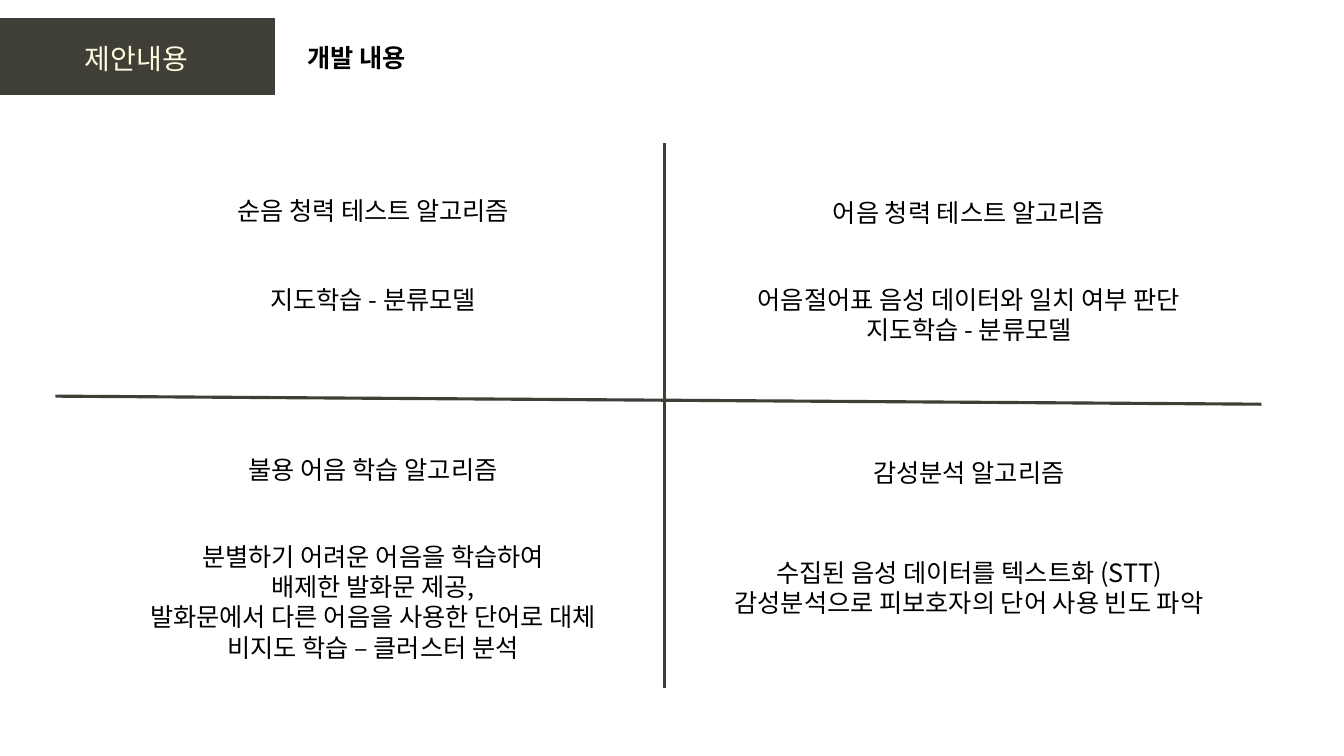
from lxml import etree
from pptx import Presentation
from pptx.dml.color import RGBColor
from pptx.enum.shapes import MSO_CONNECTOR, MSO_SHAPE
from pptx.enum.text import MSO_ANCHOR, PP_ALIGN
from pptx.oxml.ns import qn
from pptx.util import Inches, Pt

LEFT, CENTER = PP_ALIGN.LEFT, PP_ALIGN.CENTER
MIDDLE = MSO_ANCHOR.MIDDLE
RECTANGLE = MSO_SHAPE.RECTANGLE
STRAIGHT = MSO_CONNECTOR.STRAIGHT

# Content
SECTION = "제안내용"
TITLE = "개발 내용"

# Each quadrant: centre x, heading top, heading, body top, body width, body lines
QUADRANTS = [
    (3.7, 1.89, "순음 청력 테스트 알고리즘", 2.77, 2.49,
     ["지도학습 - 분류모델"]),
    (9.61, 1.91, "어음 청력 테스트 알고리즘", 2.77, 4.53,
     ["어음절어표 음성 데이터와 일치 여부 판단", "지도학습 - 분류모델"]),
    (3.7, 4.46, "불용 어음 학습 알고리즘", 5.32, 4.84,
     ["분별하기 어려운 어음을 학습하여", "배제한 발화문 제공,",
      "발화문에서 다른 어음을 사용한 단어로 대체", "비지도 학습 – 클러스터 분석"]),
    (9.61, 4.49, "감성분석 알고리즘", 5.48, 5.12,
     ["수집된 음성 데이터를 텍스트화 (STT)",
      "감성분석으로 피보호자의 단어 사용 빈도 파악"]),
]

# Axes: start x, start y, end x, end y
AXES = [(6.59, 1.42, 6.59, 6.83), (0.55, 3.93, 12.51, 4.01)]

# Style
FONT = "Noto Sans CJK KR"
DARK, CREAM, BLACK = "403F37", "FFFBDE", "000000"
HEADING_WIDTH = 3.39
LINE_HEIGHT, BOX_PADDING = 0.3, 0.1


def color(value):
    return RGBColor.from_string(value)


def add_text(page, left, top, width, lines, size=18, ink=BLACK,
             align=CENTER, bold=False):
    pitch = LINE_HEIGHT * size / 18
    height = BOX_PADDING + pitch * len(lines)
    box = page.shapes.add_textbox(
        Inches(left), Inches(top), Inches(width), Inches(height))
    frame = box.text_frame
    frame.word_wrap = True
    frame.vertical_anchor = MIDDLE
    for index, line in enumerate(lines):
        para = frame.paragraphs[0] if index == 0 else frame.add_paragraph()
        para.alignment = align
        para.line_spacing = Pt(pitch * 72)
        span = para.add_run()
        span.text = line
        span.font.name = FONT
        span.font.size = Pt(size)
        span.font.bold = bold
        span.font.color.rgb = color(ink)
        # Hangul takes the East Asian typeface
        east_asian = etree.SubElement(span.font._element, qn("a:ea"))
        east_asian.set("typeface", FONT)


def add_axis(page, start_x, start_y, end_x, end_y):
    axis = page.shapes.add_connector(
        STRAIGHT, Inches(start_x), Inches(start_y), Inches(end_x), Inches(end_y))
    axis.line.color.rgb = color(DARK)
    axis.line.width = Pt(2.25)
    etree.SubElement(axis._element.spPr, qn("a:effectLst"))


def main():
    deck = Presentation()
    deck.slide_width, deck.slide_height = Inches(13.33), Inches(7.5)
    page = deck.slides.add_slide(deck.slide_layouts[6])

    # Header
    banner = page.shapes.add_shape(
        RECTANGLE, Inches(0), Inches(0.19), Inches(2.72), Inches(0.75))
    banner.shadow.inherit = False
    banner.fill.solid()
    banner.fill.fore_color.rgb = color(DARK)
    banner.line.color.rgb = color(DARK)
    banner.line.width = Pt(1)
    add_text(page, 0.03, 0.36, 2.65, [SECTION], size=20, ink=CREAM)
    add_text(page, 2.95, 0.37, 3.1, [TITLE], align=LEFT, bold=True)

    # Quadrants
    for center, heading_top, heading, body_top, body_width, body in QUADRANTS:
        add_text(page, center - HEADING_WIDTH / 2, heading_top,
                 HEADING_WIDTH, [heading])
        add_text(page, center - body_width / 2, body_top, body_width, body)

    # Dividing axes
    for axis in AXES:
        add_axis(page, *axis)

    deck.save("out.pptx")


if __name__ == "__main__":
    main()
